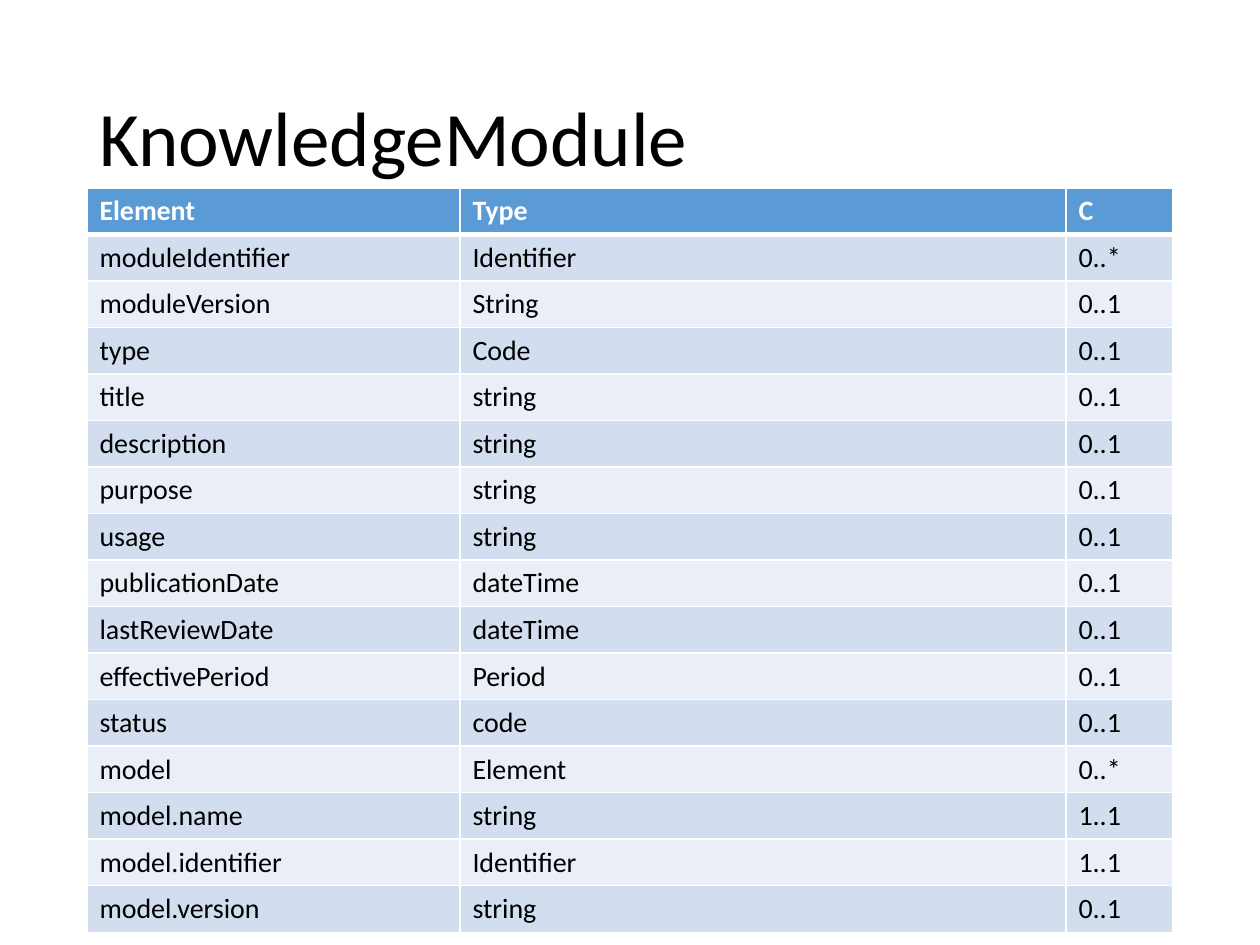
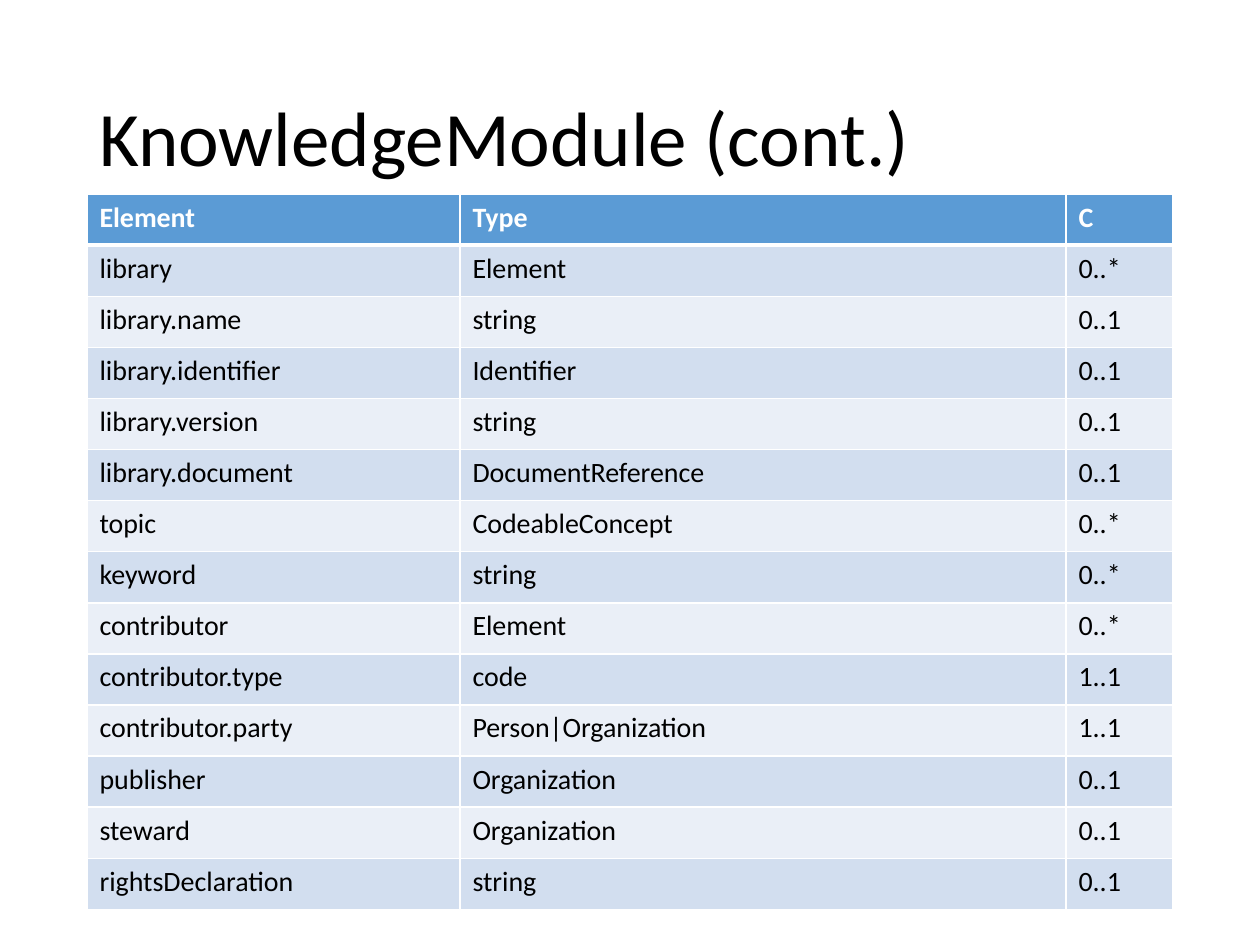
"""Build two slides that list the elements of KnowledgeModule."""
from dataclasses import dataclass

from lxml import etree
from pptx import Presentation
from pptx.dml.color import RGBColor
from pptx.enum.text import MSO_ANCHOR
from pptx.oxml.ns import qn
from pptx.util import Inches, Pt

MIDDLE = MSO_ANCHOR.MIDDLE
BLANK_LAYOUT = 6
COLORS = {
    "title": "000000",
    "header_text": "FFFFFF",
    "body_text": "000000",
    "header": "5B9BD5",
    "odd_band": "D2DEEF",
    "even_band": "EAEFF7",
    "border": "FFFFFF",
}
TITLE_FONT = {"name": "Calibri", "size": Pt(44), "bold": False}
HEADER_FONT = {"name": "Calibri", "size": Pt(16), "bold": True}
BODY_FONT = {**HEADER_FONT, "bold": False}
TITLE_FRAME = {"word_wrap": True, "vertical_anchor": MIDDLE}

LEFT, WIDTH = Inches(0.69), Inches(8.62)
TITLE_TOP, TITLE_HEIGHT = Inches(0.4), Inches(1.45)
COLUMN_WIDTHS = (Inches(2.96), Inches(4.81), Inches(0.85))
THIN, THICK = Pt(1), Pt(3)
HEADINGS = ("Element", "Type", "C")


@dataclass(frozen=True)
class ElementRow:
    """One element with its type and cardinality."""

    element: str
    type_name: str
    cardinality: str = "0..1"


@dataclass(frozen=True)
class ElementSlide:
    """A title and the table of elements below it."""

    title: str
    table_top: float
    table_height: float
    rows: tuple[ElementRow, ...]


SLIDES = (
    ElementSlide("KnowledgeModule", 1.49, 5.91, (
        ElementRow("moduleIdentifier", "Identifier", "0..*"),
        ElementRow("moduleVersion", "String"),
        ElementRow("type", "Code"),
        ElementRow("title", "string"),
        ElementRow("description", "string"),
        ElementRow("purpose", "string"),
        ElementRow("usage", "string"),
        ElementRow("publicationDate", "dateTime"),
        ElementRow("lastReviewDate", "dateTime"),
        ElementRow("effectivePeriod", "Period"),
        ElementRow("status", "code"),
        ElementRow("model", "Element", "0..*"),
        ElementRow("model.name", "string", "1..1"),
        ElementRow("model.identifier", "Identifier", "1..1"),
        ElementRow("model.version", "string"),
    )),
    ElementSlide("KnowledgeModule (cont.)", 1.54, 5.68, (
        ElementRow("library", "Element", "0..*"),
        ElementRow("library.name", "string"),
        ElementRow("library.identifier", "Identifier"),
        ElementRow("library.version", "string"),
        ElementRow("library.document", "DocumentReference"),
        ElementRow("topic", "CodeableConcept", "0..*"),
        ElementRow("keyword", "string", "0..*"),
        ElementRow("contributor", "Element", "0..*"),
        ElementRow("contributor.type", "code", "1..1"),
        ElementRow("contributor.party", "Person|Organization", "1..1"),
        ElementRow("publisher", "Organization"),
        ElementRow("steward", "Organization"),
        ElementRow("rightsDeclaration", "string"),
    )),
)


def set_attributes(target, values: dict) -> None:
    """Set each named format value on the target."""
    for name, value in values.items():
        setattr(target, name, value)


def write_text(paragraph, text: str, font_values: dict, color: str) -> None:
    """Add one formatted run to the paragraph."""
    run = paragraph.add_run()
    run.text = text
    set_attributes(run.font, font_values)
    run.font.color.rgb = RGBColor.from_string(COLORS[color])


def add_title(slide, title: str) -> None:
    """Draw the slide title."""
    shape = slide.shapes.add_textbox(LEFT, TITLE_TOP, WIDTH, TITLE_HEIGHT)
    set_attributes(shape.text_frame, TITLE_FRAME)
    paragraph = shape.text_frame.paragraphs[0]
    paragraph.line_spacing = 0.9
    write_text(paragraph, title, TITLE_FONT, "title")


def add_borders(cell, row_index: int) -> None:
    """Edge the cell, with a thick rule below the header row."""
    widths = {
        "a:lnL": THIN,
        "a:lnR": THIN,
        "a:lnT": THICK if row_index == 1 else THIN,
        "a:lnB": THICK if row_index == 0 else THIN,
    }
    properties = cell._tc.get_or_add_tcPr()
    for tag, width in widths.items():
        line = etree.SubElement(properties, qn(tag), w=str(width))
        fill = etree.SubElement(line, qn("a:solidFill"))
        etree.SubElement(fill, qn("a:srgbClr"), val=COLORS["border"])


def add_element_table(slide, content: ElementSlide) -> None:
    """Draw the banded table of elements."""
    body = [(row.element, row.type_name, row.cardinality) for row in content.rows]
    lines = [HEADINGS, *body]
    height = Inches(content.table_height)
    table = slide.shapes.add_table(
        len(lines), len(HEADINGS), LEFT, Inches(content.table_top), WIDTH, height
    ).table
    for column, width in zip(table.columns, COLUMN_WIDTHS):
        column.width = width
    for row_index, texts in enumerate(lines):
        is_header = row_index == 0
        band = "odd_band" if row_index % 2 else "even_band"
        font_values = HEADER_FONT if is_header else BODY_FONT
        text_color = "header_text" if is_header else "body_text"
        fill_color = COLORS["header" if is_header else band]
        for cell, text in zip(table.rows[row_index].cells, texts):
            add_borders(cell, row_index)
            cell.fill.solid()
            cell.fill.fore_color.rgb = RGBColor.from_string(fill_color)
            write_text(cell.text_frame.paragraphs[0], text, font_values, text_color)


def main() -> None:
    """Build and save the presentation."""
    presentation = Presentation()
    presentation.slide_width = Inches(10)
    presentation.slide_height = Inches(7.5)
    for content in SLIDES:
        slide = presentation.slides.add_slide(presentation.slide_layouts[BLANK_LAYOUT])
        add_title(slide, content.title)
        add_element_table(slide, content)
    presentation.save("out.pptx")


if __name__ == "__main__":
    main()
